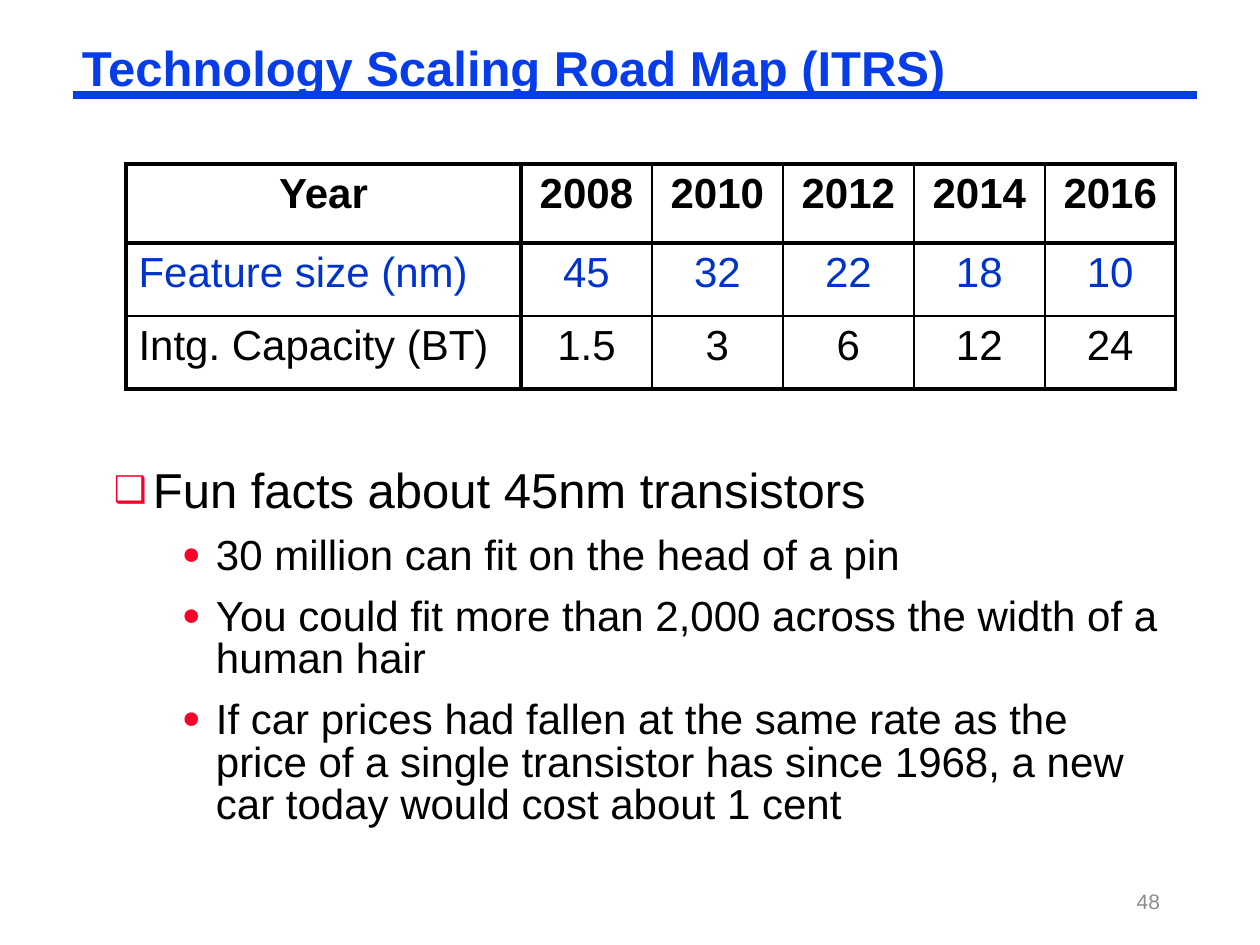
from dataclasses import dataclass

from lxml import etree
from pptx import Presentation
from pptx.dml.color import RGBColor
from pptx.enum import shapes, text
from pptx.oxml import ns
from pptx.util import Emu, Pt

PX = 914400 / 126
FONT = "Arial"
BLUE, CELL_BLUE, RED, BLACK, GRAY = "063DE8", "0033CC", "FC0128", "000000", "8C8C8C"
THICK, THIN = 2.25, 1


@dataclass(frozen=True)
class Level:
    bullet: str
    margin: int
    hanging: int
    size: int
    line_spacing: float
    before: int


@dataclass(frozen=True)
class Fact:
    words: str
    level: Level


@dataclass(frozen=True)
class Row:
    label: str
    values: tuple
    height: int
    color: str = BLACK
    bold: bool = False


TOPIC = Level("❑", 39, 39, 28, 0.9, 0)
POINT = Level("●", 102, 34, 24, 0.85, 10)

FACTS = [
    Fact("Fun facts about 45nm transistors", TOPIC),
    Fact("30 million can fit on the head of a pin", POINT),
    Fact("You could fit more than 2,000 across the width of a human hair", POINT),
    Fact("If car prices had fallen at the same rate as the price of a single "
         "transistor has since 1968, a new car today would cost about 1 cent", POINT),
]
ROADMAP = [
    Row("Year", ("2008", "2010", "2012", "2014", "2016"), 79, bold=True),
    Row("Feature size (nm)", ("45", "32", "22", "18", "10"), 73, CELL_BLUE),
    Row("Intg. Capacity (BT)", ("1.5", "3", "6", "12", "24"), 73),
]
COLUMNS = [395] + [131] * 5


def px(length: int) -> Emu:
    return Emu(round(length * PX))


def rgb(color: str) -> RGBColor:
    return RGBColor.from_string(color)


def add_element(parent, tag: str, **attributes: str):
    return etree.SubElement(parent, ns.qn(tag), attributes)


def style(paragraph, size: int, color: str, bold: bool = False) -> None:
    for run in paragraph.runs:
        run.font.name, run.font.size, run.font.bold = FONT, Pt(size), bold
        run.font.color.rgb = rgb(color)


def add_box(slide, left: int, top: int, width: int, height: int):
    frame = slide.shapes.add_textbox(px(left), px(top), px(width), px(height)).text_frame
    frame.word_wrap = True
    frame.margin_left = frame.margin_right = px(9)
    frame.margin_top = frame.margin_bottom = px(4)
    return frame


def add_title(slide, words: str) -> None:
    rule = slide.shapes.add_connector(
        shapes.MSO_CONNECTOR.STRAIGHT, px(73), px(95), px(1197), px(95))
    rule.line.color.rgb, rule.line.width = rgb(BLUE), Pt(4.5)
    add_element(rule._element.spPr, "a:effectLst")
    frame = add_box(slide, 73, 42, 1124, 58)
    frame.text = words
    frame.paragraphs[0].line_spacing = 0.87
    style(frame.paragraphs[0], 28, BLUE, bold=True)


def set_borders(cell, widths: dict) -> None:
    properties = cell._tc.get_or_add_tcPr()
    for side, width in widths.items():
        line = add_element(properties, f"a:ln{side}", w=str(Pt(width)))
        add_element(add_element(line, "a:solidFill"), "a:srgbClr", val=BLACK)


def add_roadmap(slide, rows: list) -> None:
    table = slide.shapes.add_table(
        len(rows), len(COLUMNS), px(126), px(164),
        px(sum(COLUMNS)), px(sum(row.height for row in rows))).table
    table.first_row = table.horz_banding = False
    for column, width in zip(table.columns, COLUMNS):
        column.width = px(width)
    last_row, last_column = len(rows) - 1, len(COLUMNS) - 1
    for r, row in enumerate(rows):
        table.rows[r].height = px(row.height)
        for c, words in enumerate((row.label, *row.values)):
            cell = table.cell(r, c)
            # Thick frame, plus thick rules beside the labels and below the years
            set_borders(cell, {
                "L": THICK if c <= 1 else THIN,
                "R": THICK if c in (0, last_column) else THIN,
                "T": THICK if r <= 1 else THIN,
                "B": THICK if r in (0, last_row) else THIN,
            })
            cell.fill.background()
            cell.text = words
            paragraph = cell.text_frame.paragraphs[0]
            centred = r == 0 or c > 0
            paragraph.alignment = text.PP_ALIGN.CENTER if centred else text.PP_ALIGN.LEFT
            style(paragraph, 24, row.color, row.bold)


def add_facts(slide, facts: list) -> None:
    frame = add_box(slide, 105, 462, 1071, 381)
    frame.text = "\n".join(fact.words for fact in facts)
    for paragraph, fact in zip(frame.paragraphs, facts):
        level = fact.level
        paragraph.level = 0 if level is TOPIC else 1
        paragraph.line_spacing, paragraph.space_before = level.line_spacing, Pt(level.before)
        properties = paragraph._p.get_or_add_pPr()
        properties.set("marL", str(px(level.margin)))
        properties.set("indent", str(-px(level.hanging)))
        add_element(add_element(properties, "a:buClr"), "a:srgbClr", val=RED)
        add_element(properties, "a:buSzPct", val="75000")
        add_element(properties, "a:buFont", typeface=FONT)
        add_element(properties, "a:buChar", char=level.bullet)
        style(paragraph, level.size, BLACK)


def add_page_number(slide, number: str) -> None:
    frame = add_box(slide, 890, 876, 283, 50)
    frame.margin_left = frame.margin_right = px(13)
    frame.vertical_anchor = text.MSO_ANCHOR.MIDDLE
    frame.text = number
    frame.paragraphs[0].alignment = text.PP_ALIGN.RIGHT
    style(frame.paragraphs[0], 12, GRAY)


def main() -> None:
    deck = Presentation()
    deck.slide_width, deck.slide_height = px(1260), px(945)
    slide = deck.slides.add_slide(deck.slide_layouts[6])
    add_title(slide, "Technology Scaling Road Map (ITRS)")
    add_roadmap(slide, ROADMAP)
    add_facts(slide, FACTS)
    add_page_number(slide, "48")
    deck.save("out.pptx")


if __name__ == "__main__":
    main()
